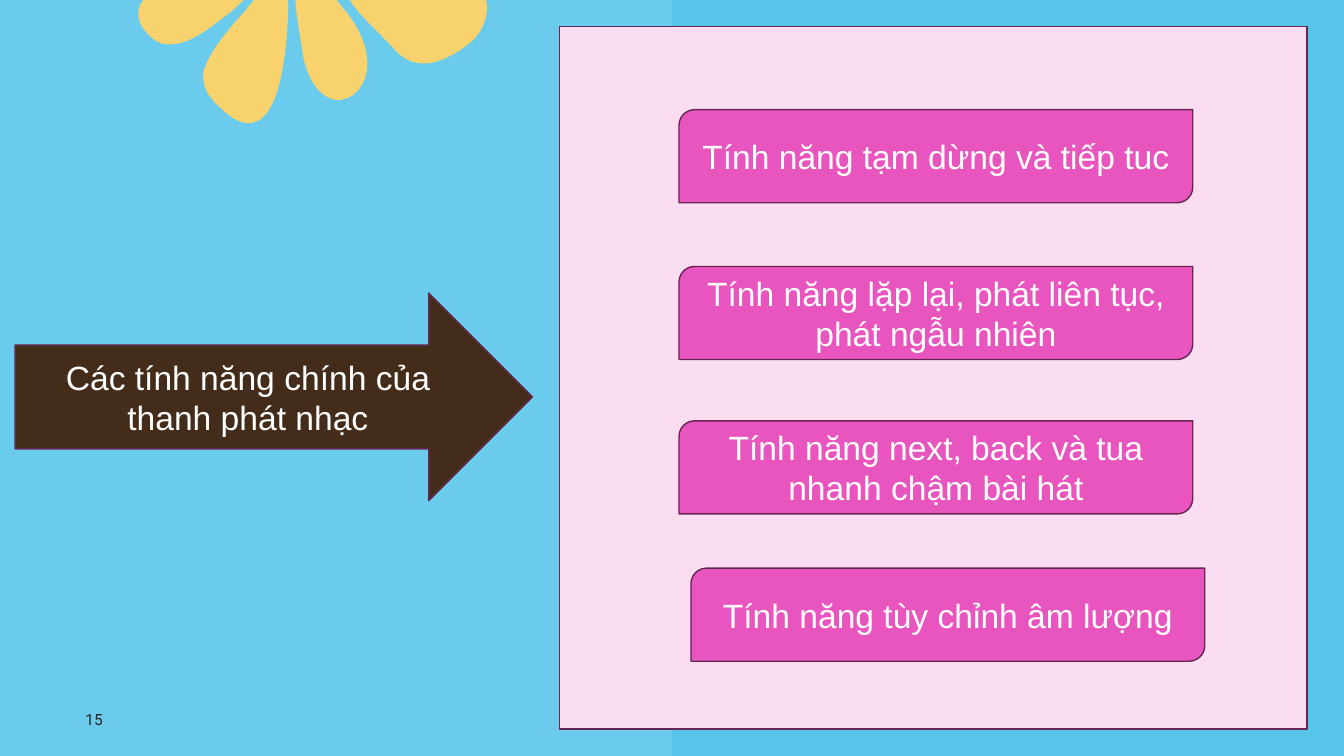
from dataclasses import dataclass

from lxml import etree
from pptx import Presentation
from pptx import util as u
from pptx.dml.color import RGBColor
from pptx.enum import shapes, text
from pptx.oxml.ns import qn

# The slide is a grid of 160 columns by 90 rows of square cells.
COLUMNS, ROWS = 160, 90
CELL = u.Inches(1) // 12
# Petal outlines use a finer grid of 100 steps to the inch.
PETAL_STEP = u.Inches(1) // 100

Point = tuple[float, float]


@dataclass(frozen=True)
class Theme:
    background: str = "57C4EA"
    left_half: str = "9ADCF2"
    left_half_opacity: int = 30
    petal: str = "F8D36D"
    arrow: str = "442C1A"
    panel: str = "FBDDF2"
    card: str = "E955BE"
    outline: str = "662553"
    light_text: str = "FFFFFF"
    dark_text: str = "262626"
    font: str = "Arial"
    number_font: str = "Roboto"
    body_size: int = 24
    number_size: int = 11
    line_width: int = 1


@dataclass(frozen=True)
class Box:
    column: float
    row: float
    width: float
    height: float

    def lengths(self) -> list[int]:
        cells = (self.column, self.row, self.width, self.height)
        return [round(value * CELL) for value in cells]


@dataclass(frozen=True)
class Card:
    row: float
    label: str
    column: float = 80.84


@dataclass(frozen=True)
class Petal:
    """Straight points along the top edge, then cubic curves (two controls and an end)."""
    edge: tuple[Point, ...]
    curves: tuple[tuple[Point, Point, Point], ...]

    def points(self) -> list[Point]:
        points = [*self.edge, *(point for curve in self.curves for point in curve)]
        return [(x * PETAL_STEP, y * PETAL_STEP) for x, y in points]


THEME = Theme()
# A quarter turn makes this cover the left half of the slide.
LEFT_HALF = Box(-5, 5, ROWS, COLUMNS / 2)
PANEL = Box(66.6, 3.16, 89.02, 83.64)
ARROW = Box(1.8, 34.9, 61.6, 24.72)
PAGE_NUMBER = Box(9, 84.12, 9.96, 3)
CARD_WIDTH, CARD_HEIGHT = 61.16, 11.08

CARDS = (
    Card(13.06, "Tính năng tạm dừng và tiếp tuc"),
    Card(31.72, "Tính năng lặp lại, phát liên tục, phát ngẫu nhiên"),
    Card(50.1, "Tính năng next, back và tua nhanh chậm bài hát"),
    Card(67.64, "Tính năng tùy chỉnh âm lượng", column=82.26),
)

PETALS = (
    Petal(((347, 0), (482, 0), (483, 4)),
          (((484, 13), (481, 22), (477, 30)),
           ((469, 45), (437, 64), (421, 63)),
           ((400, 62), (397, 54), (377, 34)),
           ((368, 25), (359, 16), (351, 6)))),
    Petal(((293, 0), (334, 0), (336, 3)),
          (((382, 53), (364, 95), (339, 99)),
           ((325, 101), (308, 89), (301, 57)),
           ((298, 38), (295, 21), (293, 1)))),
    Petal(((252, 0), (286, 0), (286, 7)),
          (((285, 50), (278, 124), (246, 122)),
           ((239, 122), (230, 118), (221, 109)),
           ((207, 97), (200, 87), (202, 70)),
           ((210, 48), (227, 29), (243, 11)))),
    Petal(((142, 0), (242, 0), (230, 11)),
          (((215, 22), (190, 45), (168, 44)),
           ((163, 44), (158, 43), (154, 40)),
           ((139, 29), (134, 16), (139, 5)))),
)


def color(value: str) -> RGBColor:
    return RGBColor.from_string(value)


def paint(shape, fill: str, outline: str | None = None) -> None:
    shape.shadow.inherit = False
    shape.fill.solid()
    shape.fill.fore_color.rgb = color(fill)
    if outline is None:
        shape.line.fill.background()
    else:
        shape.line.color.rgb = color(outline)
        shape.line.width = u.Pt(THEME.line_width)


def set_opacity(shape, percent: int) -> None:
    rgb = next(shape._element.spPr.iter(qn("a:srgbClr")))
    etree.SubElement(rgb, qn("a:alpha")).set("val", str(percent * 1000))


def write(shape, content: str, *, size: int = THEME.body_size, font: str = THEME.font,
          ink: str = THEME.light_text, align=text.PP_ALIGN.CENTER) -> None:
    frame = shape.text_frame
    frame.word_wrap = True
    frame.vertical_anchor = text.MSO_ANCHOR.MIDDLE
    paragraph = frame.paragraphs[0]
    paragraph.alignment = align
    run = paragraph.add_run()
    run.text = content
    run.font.size = u.Pt(size)
    run.font.name = font
    run.font.color.rgb = color(ink)


def add_block(slide, kind, box: Box, fill: str, outline: str | None = THEME.outline):
    shape = slide.shapes.add_shape(kind, *box.lengths())
    paint(shape, fill, outline)
    return shape


def bend(segments: list) -> None:
    """Merge each three line segments into one cubic curve."""
    for first, second, last in zip(*[iter(segments)] * 3):
        first.tag = qn("a:cubicBezTo")
        for segment in (second, last):
            first.append(segment[0])
            segment.getparent().remove(segment)


def add_flower(slide) -> None:
    outlines = [petal.points() for petal in PETALS]
    builder = slide.shapes.build_freeform(*outlines[0][0])
    for index, outline in enumerate(outlines):
        if index:
            builder.move_to(*outline[0])
        builder.add_line_segments(outline[1:], close=True)
    flower = builder.convert_to_shape()
    paint(flower, THEME.petal)

    segments = iter(list(flower._element.iter(qn("a:lnTo"))))
    for petal in PETALS:
        for _ in petal.edge[1:]:
            next(segments)
        bend([next(segments) for curve in petal.curves for _ in curve])


def main() -> None:
    presentation = Presentation()
    presentation.slide_width = COLUMNS * CELL
    presentation.slide_height = ROWS * CELL
    slide = presentation.slides.add_slide(presentation.slide_layouts[6])
    slide.background.fill.solid()
    slide.background.fill.fore_color.rgb = color(THEME.background)

    kinds = shapes.MSO_SHAPE
    left_half = add_block(slide, kinds.RECTANGLE, LEFT_HALF, THEME.left_half, outline=None)
    left_half.rotation = 90
    set_opacity(left_half, THEME.left_half_opacity)
    add_flower(slide)

    page_number = slide.shapes.add_textbox(*PAGE_NUMBER.lengths())
    write(page_number, "15", size=THEME.number_size, font=THEME.number_font,
          ink=THEME.dark_text, align=text.PP_ALIGN.LEFT)

    arrow = add_block(slide, kinds.RIGHT_ARROW, ARROW, THEME.arrow)
    write(arrow, "Các tính năng chính của thanh phát nhạc")

    add_block(slide, kinds.RECTANGLE, PANEL, THEME.panel)
    for card in CARDS:
        box = Box(card.column, card.row, CARD_WIDTH, CARD_HEIGHT)
        write(add_block(slide, kinds.ROUND_2_DIAG_RECTANGLE, box, THEME.card), card.label)

    presentation.save("out.pptx")


if __name__ == "__main__":
    main()
